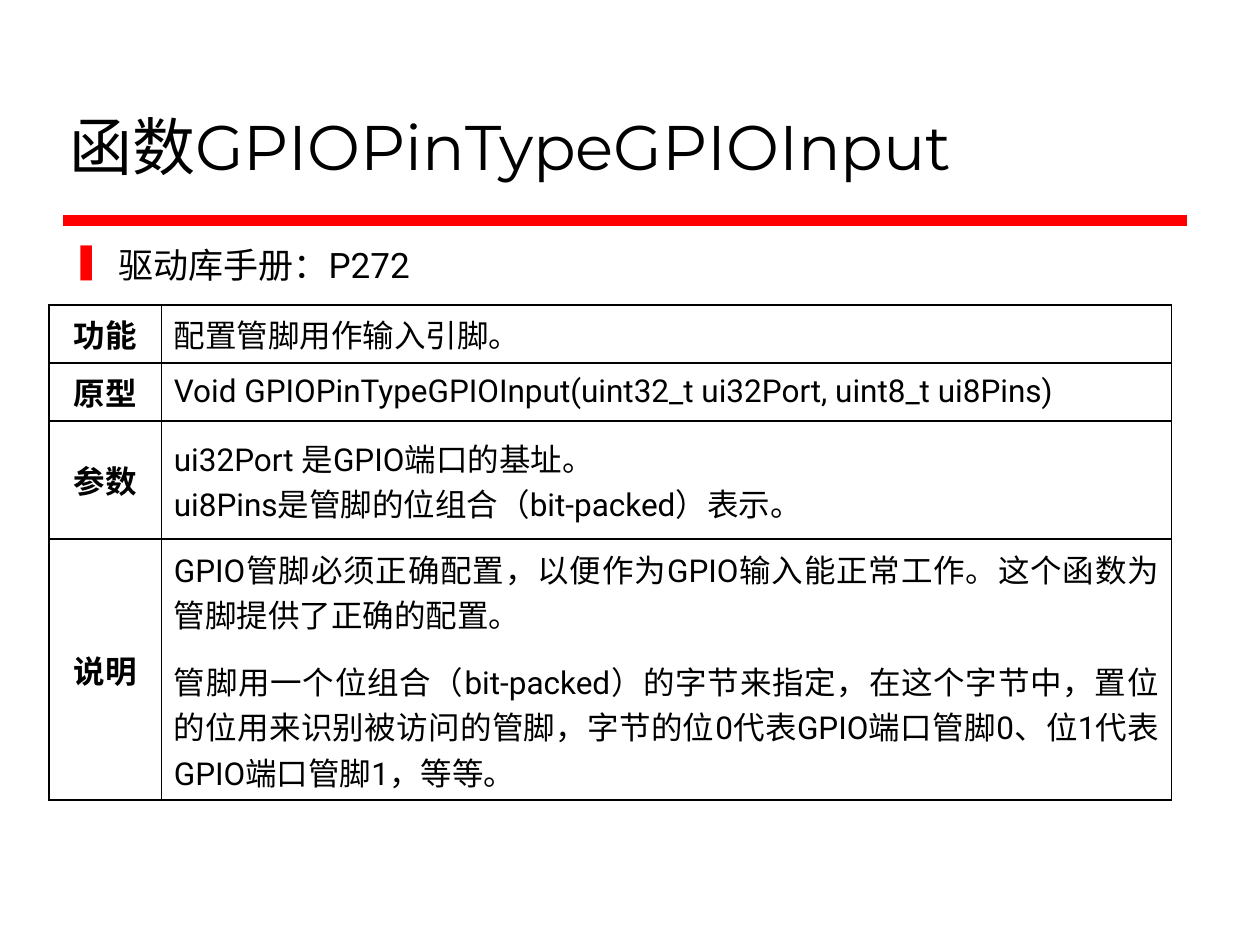
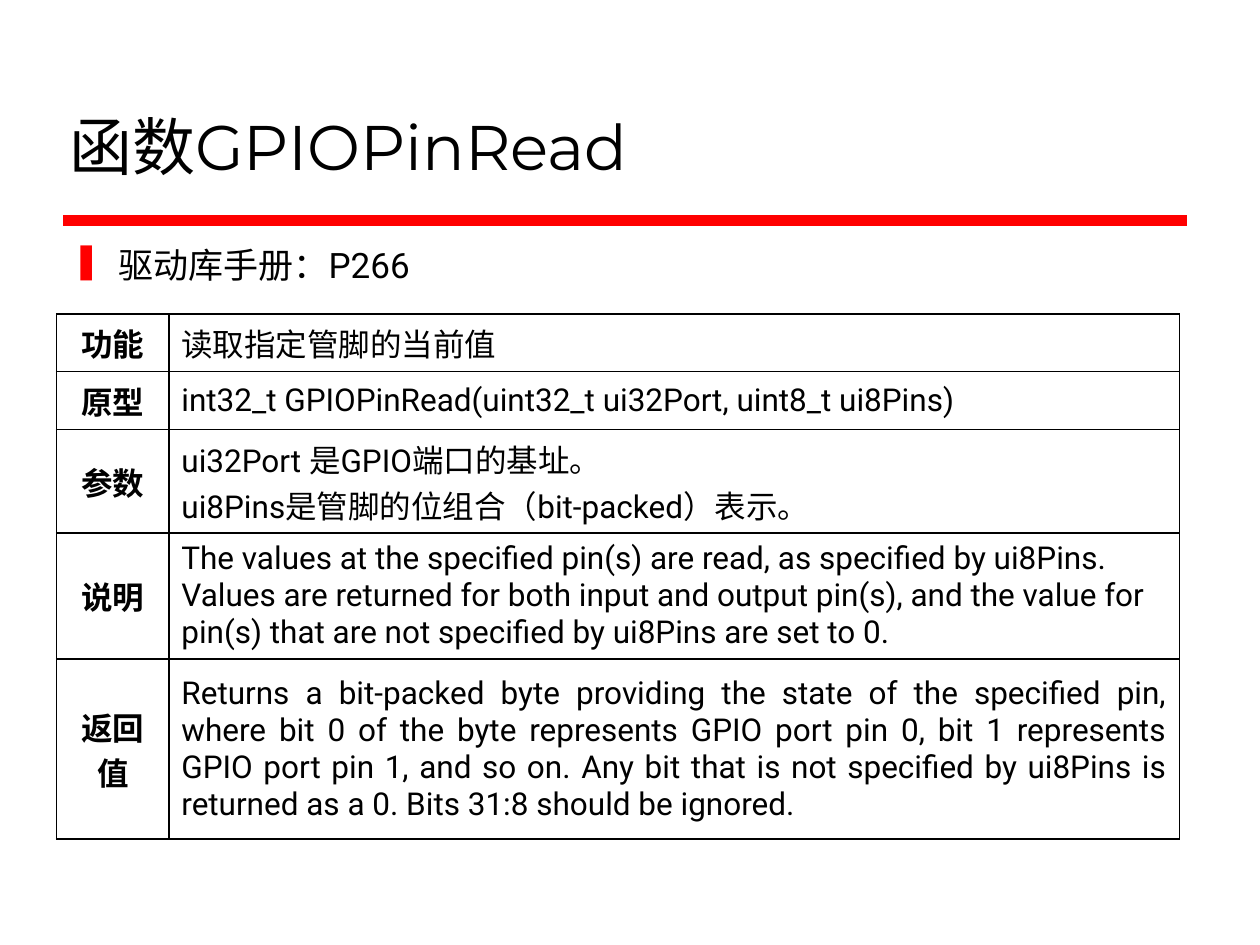
from lxml import etree
from pptx import Presentation, util as u
from pptx.dml.color import RGBColor
from pptx.enum import shapes, text
from pptx.oxml import ns

BLACK = RGBColor(0, 0, 0)
RED = RGBColor(255, 0, 0)
TITLE_FORMAT = {"name": "Montserrat", "size": u.Pt(36)}
BODY_FORMAT = {"name": "Roboto", "size": u.Pt(20)}
LABEL_FORMAT = {"name": "Roboto", "size": u.Pt(18), "bold": True}
CELL_FORMAT = {**LABEL_FORMAT, "bold": False}

WIDTH, HEIGHT = u.Inches(10), u.Inches(7.5)
COLUMNS = (0.89, 8.02)
LINE_ROW = 0.46  # height of a row with one line of text
LEFT, CENTER, JUSTIFY = (text.PP_ALIGN.LEFT, text.PP_ALIGN.CENTER,
                         text.PP_ALIGN.JUSTIFY)

PARAMETERS = ["ui32Port 是GPIO端口的基址。",
              "ui8Pins是管脚的位组合（bit-packed）表示。"]

# Each row: label, paragraphs, height, alignment, space between paragraphs
INPUT_ROWS = [
    ("功能", ["配置管脚用作输入引脚。"], LINE_ROW, LEFT, 0),
    ("原型", ["Void GPIOPinTypeGPIOInput(uint32_t ui32Port, uint8_t ui8Pins)"],
     LINE_ROW, LEFT, 0),
    ("参数", PARAMETERS, 0.94, LEFT, 0),
    ("说明", ["GPIO管脚必须正确配置，以便作为GPIO输入能正常工作。"
            "这个函数为管脚提供了正确的配置。",
            "管脚用一个位组合（bit-packed）的字节来指定，在这个字节中，"
            "置位的位用来识别被访问的管脚，字节的位0代表GPIO端口管脚0、"
            "位1代表GPIO端口管脚1，等等。"], 2.07, JUSTIFY, 6),
]
READ_ROWS = [
    ("功能", ["读取指定管脚的当前值"], LINE_ROW, LEFT, 0),
    ("原型", ["int32_t GPIOPinRead(uint32_t ui32Port, uint8_t ui8Pins)"],
     LINE_ROW, LEFT, 0),
    ("参数", PARAMETERS, 0.82, LEFT, 0),
    ("说明", ["The values at the specified pin(s) are read, as specified by "
            "ui8Pins. Values are returned for both input and output pin(s), "
            "and the value for pin(s) that are not specified by ui8Pins are "
            "set to 0."], 0.98, LEFT, 0),
    ("返回值", ["Returns a bit-packed byte providing the state of the specified "
             "pin, where bit 0 of the byte represents GPIO port pin 0, bit 1 "
             "represents GPIO port pin 1, and so on. Any bit that is not "
             "specified by ui8Pins is returned as a 0. Bits 31:8 should be "
             "ignored."], 1.43, JUSTIFY, 0),
]


def format_paragraph(paragraph, content, font_format):
    paragraph.text = content
    for name, value in font_format.items():
        setattr(paragraph.font, name, value)
    paragraph.font.color.rgb = BLACK


def add_text(slide, content, box, font_format, anchor):
    shape = slide.shapes.add_textbox(*(u.Inches(length) for length in box))
    frame = shape.text_frame
    frame.word_wrap = True
    frame.vertical_anchor = anchor
    paragraph = frame.paragraphs[0]
    format_paragraph(paragraph, content, font_format)
    return paragraph


def add_bullet(paragraph):
    """Give the paragraph a red bar bullet with a hanging indent."""
    properties = paragraph._p.get_or_add_pPr()
    indent = u.Inches(0.37)
    properties.set("marL", str(indent))
    properties.set("indent", str(-indent))
    bullet = etree.Element(ns.qn("a:buChar"), char="❚")
    color = etree.Element(ns.qn("a:buClr"))
    etree.SubElement(color, ns.qn("a:srgbClr"), val=str(RED))
    properties.insert(0, bullet)
    properties.insert(0, color)


def add_rule(slide):
    line = slide.shapes.add_connector(
        shapes.MSO_CONNECTOR.STRAIGHT,
        *(u.Inches(length) for length in (0.5, 1.75, 9.42, 1.75)))
    line.line.color.rgb = RED
    line.line.width = u.Pt(6)
    etree.SubElement(line._element.spPr, ns.qn("a:effectLst"))


def add_borders(cell):
    properties = cell._tc.get_or_add_tcPr()
    for position, side in enumerate(("lnL", "lnR", "lnT", "lnB")):
        border = etree.Element(ns.qn(f"a:{side}"), w=str(u.Pt(1)))
        fill = etree.SubElement(border, ns.qn("a:solidFill"))
        etree.SubElement(fill, ns.qn("a:srgbClr"), val=str(BLACK))
        properties.insert(position, border)


def fill_cell(cell, contents, font_format, alignment, gap=0):
    cell.fill.background()
    cell.vertical_anchor = text.MSO_ANCHOR.MIDDLE
    add_borders(cell)
    frame = cell.text_frame
    for index, content in enumerate(contents):
        paragraph = frame.add_paragraph() if index else frame.paragraphs[0]
        paragraph.alignment = alignment
        if gap:
            paragraph.space_after = u.Pt(gap)
            if index:
                paragraph.space_before = u.Pt(gap)
        format_paragraph(paragraph, content, font_format)


def add_function_table(slide, left, top, rows):
    height = sum(row[2] for row in rows)
    table = slide.shapes.add_table(
        len(rows), len(COLUMNS), u.Inches(left), u.Inches(top),
        u.Inches(sum(COLUMNS)), u.Inches(height)).table
    table.first_row = table.horz_banding = False
    for column, width in zip(table.columns, COLUMNS):
        column.width = u.Inches(width)
    for index, (label, contents, height, alignment, gap) in enumerate(rows):
        table.rows[index].height = u.Inches(height)
        fill_cell(table.cell(index, 0), [label], LABEL_FORMAT, CENTER)
        fill_cell(table.cell(index, 1), contents, CELL_FORMAT, alignment, gap)


def add_function_slide(presentation, function, page, table_corner, rows):
    slide = presentation.slides.add_slide(presentation.slide_layouts[6])
    add_rule(slide)
    add_text(slide, f"函数{function}", (0.45, 0.25, 8.97, 1.25),
             TITLE_FORMAT, text.MSO_ANCHOR.BOTTOM)
    reference = add_text(slide, f"驱动库手册：{page}", (0.47, 1.88, 8.94, 0.47),
                         BODY_FORMAT, text.MSO_ANCHOR.TOP)
    add_bullet(reference)
    add_function_table(slide, *table_corner, rows)


def main():
    presentation = Presentation()
    presentation.slide_width, presentation.slide_height = WIDTH, HEIGHT
    add_function_slide(presentation, "GPIOPinTypeGPIOInput", "P272",
                       (0.39, 2.42), INPUT_ROWS)
    add_function_slide(presentation, "GPIOPinRead", "P266",
                       (0.45, 2.49), READ_ROWS)
    presentation.save("out.pptx")


if __name__ == "__main__":
    main()
